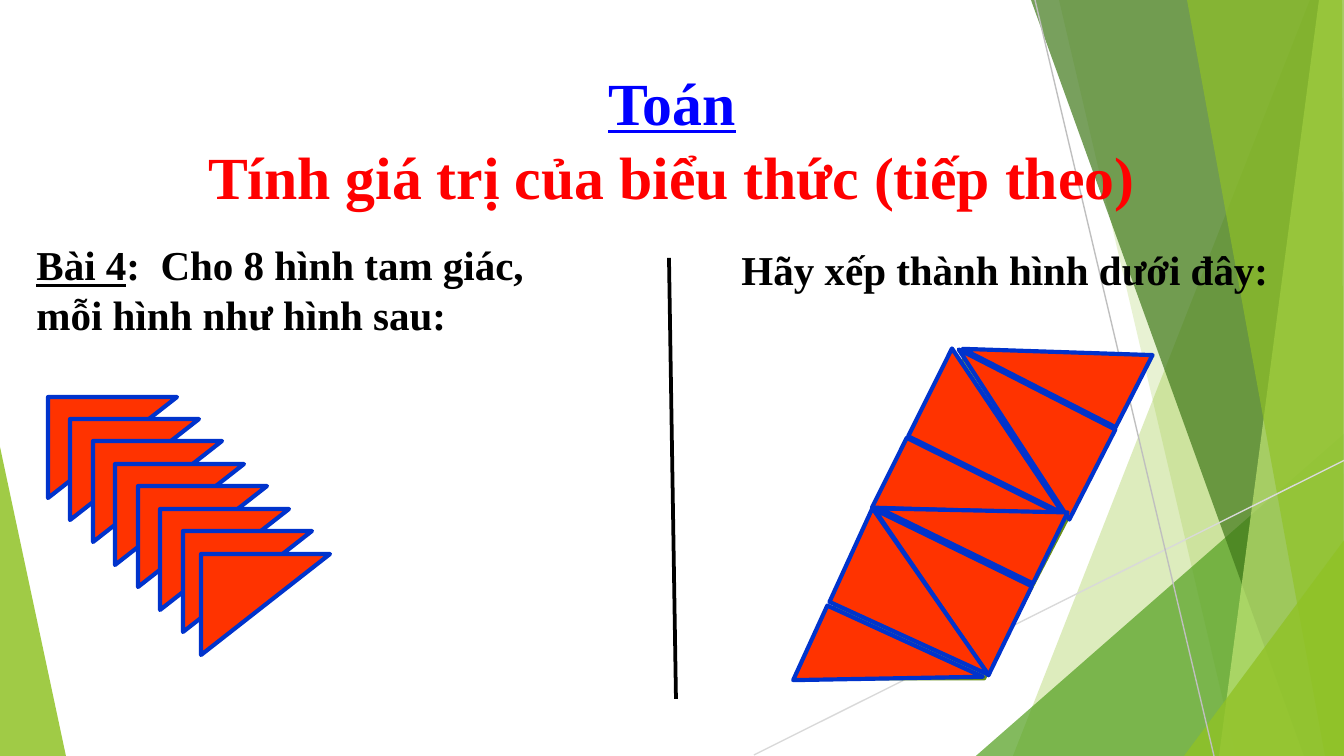
import pptx
import pptx.util
import pptx.dml.color
import pptx.enum.shapes
import pptx.enum.text
import pptx.oxml
import pptx.oxml.ns

RGB = pptx.dml.color.RGBColor
Pt = pptx.util.Pt
MSO = pptx.enum.shapes.MSO_SHAPE
ALIGN = pptx.enum.text.PP_ALIGN
qn = pptx.oxml.ns.qn
A_NS = pptx.oxml.ns.nsdecls("a")

PX = 914400 / 134.4  # EMU per px
LIME = RGB(0x90, 0xC2, 0x26)
GREEN = RGB(0x54, 0xA0, 0x21)
DARK_GREEN = RGB(0x3F, 0x78, 0x19)
PALE_GREEN = RGB(0xC0, 0xE4, 0x74)
OLIVE = RGB(0x68, 0x8E, 0x19)
LIGHT_GREY = RGB(0xD9, 0xD9, 0xD9)
GREY = RGB(0xBF, 0xBF, 0xBF)
BLACK = RGB(0, 0, 0)
BLUE = RGB(0, 0, 0xFF)
RED = RGB(0xFF, 0, 0)
ORANGE = RGB(0xFF, 0x33, 0)
EDGE_BLUE = RGB(0, 0x33, 0xCC)


def px(*lengths):
    return [round(n * PX) for n in lengths]


def add_figure(shapes, kind, box, rotation, fill, edge, weight):
    """Add a filled, outlined preset shape without a shadow."""
    sp = shapes.add_shape(kind, *px(*box))
    sp.shadow.inherit = False
    sp.rotation = rotation
    sp.fill.solid()
    sp.fill.fore_color.rgb = fill
    sp.line.color.rgb = edge
    sp.line.width = Pt(weight)
    return sp


prs = pptx.Presentation()
prs.slide_width, prs.slide_height = px(1344, 756)
s = prs.slides.add_slide(prs.slide_layouts[3])
title, task, goal = s.placeholders

# Background facets: points, colour, opacity in percent
facets = [
    ([(-1, 442), (66, 756), (-1, 756)], LIME, 85),
    ([(1310, 0), (1013, 756), (1345, 756), (1345, 0)], LIME, 30),
    ([(1059, 0), (1236, 756), (1345, 756), (1345, 0)], LIME, 20),
    ([(976, 756), (1345, 433), (1345, 756)], GREEN, 72),
    ([(1031, 0), (1304, 756), (1345, 756), (1345, 0)], DARK_GREEN, 70),
    ([(1319, 0), (1219, 756), (1345, 756), (1345, 0)], PALE_GREEN, 70),
    ([(1187, 0), (1325, 756), (1344, 756), (1342, 0)], LIME, 65),
    ([(1184, 756), (1345, 539), (1345, 756)], LIME, 80),
]
for points, color, opacity in facets:
    builder = s.shapes.build_freeform(*points[0], scale=PX)
    builder.add_line_segments(points[1:], close=True)
    sp = builder.convert_to_shape()
    sp.shadow.inherit = False
    sp.fill.solid()
    sp.fill.fore_color.rgb = color
    sp.line.fill.background()
    alpha = pptx.oxml.parse_xml(f'<a:alpha {A_NS} val="{opacity * 1000}"/>')
    sp.element.spPr.find(".//" + qn("a:srgbClr")).append(alpha)

# Two thin background lines and the divider between the columns
lines = [
    ((754, 755, 1345, 460), LIGHT_GREY, 0.75),
    ((1035, 0, 1214, 756), GREY, 0.75),
    ((669, 258, 676, 699), BLACK, 2),
]
for ends, color, weight in lines:
    line = s.shapes.add_connector(pptx.enum.shapes.MSO_CONNECTOR.STRAIGHT, *px(*ends))
    line.line.color.rgb = color
    line.line.width = Pt(weight)
    line.element.spPr.append(pptx.oxml.parse_xml(f"<a:effectLst {A_NS}/>"))

# Texts
subject = s.shapes.add_textbox(0, 0, 0, 0)
subject.text_frame.text = "Toán"
title.text_frame.text = "Tính giá trị của biểu thức (tiếp theo)"
task.text_frame.text = "Bài 4"
task.text_frame.paragraphs[0].add_run().text = ":  Cho 8 hình tam giác, mỗi hình như hình sau:"
goal.text_frame.text = "Hãy xếp thành hình dưới đây:"
texts = [
    (subject, (0, 59, 1344, 86), 32, BLUE, ALIGN.CENTER, 20),
    (title, (0, 133, 1344, 86), 32, RED, ALIGN.CENTER, 20),
    (task, (23, 233, 582, 113), 22, BLACK, ALIGN.LEFT, 13.8),
    (goal, (728, 238, 566, 63), 22, BLACK, ALIGN.LEFT, 13.8),
]
for sp, box, size, color, align, before in texts:
    s.shapes.element.append(sp.element)  # in front of the facets
    sp.left, sp.top, sp.width, sp.height = px(*box)
    tf = sp.text_frame
    tf.word_wrap = True
    tf.auto_size = pptx.enum.text.MSO_AUTO_SIZE.SHAPE_TO_FIT_TEXT
    tf.vertical_anchor = pptx.enum.text.MSO_ANCHOR.TOP
    p = tf.paragraphs[0]
    p.alignment = align
    p.space_before = Pt(before)
    for r in p.runs:
        r.font.name = "Times New Roman"
        r.font.size = Pt(size)
        r.font.bold = True
        r.font.color.rgb = color
for sp in (subject, task):
    sp.text_frame.paragraphs[0].runs[0].font.underline = True
for sp in (task, goal):
    pPr = sp.text_frame.paragraphs[0]._p.get_or_add_pPr()
    pPr.set("marL", "0")
    pPr.set("indent", "0")
    pPr.append(pptx.oxml.parse_xml(f"<a:buNone {A_NS}/>"))

# Stack of eight loose triangles
for i, left in enumerate((62, 84, 107, 129, 152, 174, 197, 215)):
    box = (left, 383 + i * 157 // 7, 101, 129)
    add_figure(s.shapes, MSO.RIGHT_TRIANGLE, box, 90, ORANGE, EDGE_BLUE, 2.25)

# Parallelogram covered by four pairs of triangles
base = add_figure(s.shapes, MSO.PARALLELOGRAM, (797, 355, 356, 324), 0, LIME, OLIVE, 1.5)
base.adjustments[0] = 0.52
pairs = [
    [((1017, 266, 81, 172), 297.1), ((926, 384, 176, 101), 207.1)],
    [((926, 426, 78, 169), 116.5), ((921, 382, 173, 98), 26.5)],
    [((934, 425, 79, 171), 296), ((844, 543, 175, 99), 206)],
    [((847, 593, 82, 171), 114.6), ((843, 540, 175, 103), 24.6)],
]
for pair in pairs:
    group = s.shapes.add_group_shape()
    for box, rotation in pair:
        add_figure(group.shapes, MSO.RIGHT_TRIANGLE, box, rotation, ORANGE, EDGE_BLUE, 2.25)

prs.save("out.pptx")
